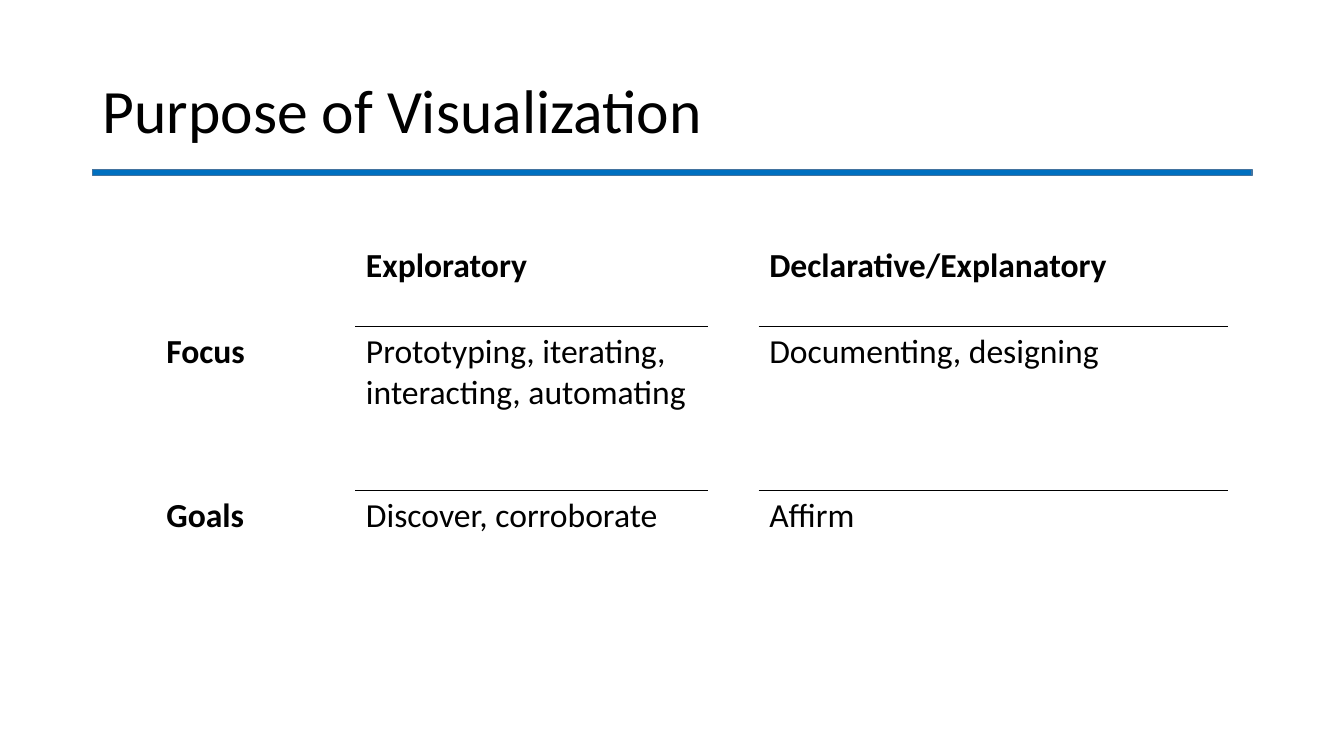
from lxml.etree import SubElement
from pptx import Presentation
from pptx.dml.color import RGBColor
from pptx.enum.shapes import MSO_SHAPE
from pptx.enum.text import MSO_ANCHOR, PP_ALIGN
from pptx.oxml.ns import qn
from pptx.util import Inches, Pt

COLORS = {"ink": "000000", "bar": "0070C0", "edge": "43739E"}
FONT = "Calibri"
WIDTHS = [1.98, 3.5, 0.5, 4.64]
HEIGHTS = [0.85, 1.63, 0.85]
ROWS = [
    ["", "Exploratory", "", "Declarative/Explanatory"],
    ["Focus", "Prototyping, iterating, interacting, automating", "",
     "Documenting, designing"],
    ["Goals", "Discover, corroborate", "", "Affirm"],
]


def color(name):
    return RGBColor.from_string(COLORS[name])


def write(frame, text, size=24, bold=False, space=1.0):
    para = frame.paragraphs[0]
    para.alignment = PP_ALIGN.LEFT
    para.line_spacing = space
    run = para.add_run()
    run.text = text
    run.font.name = FONT
    run.font.size = Pt(size)
    run.font.bold = bold
    run.font.color.rgb = color("ink")


def add_bar(slide):
    bar = slide.shapes.add_shape(
        MSO_SHAPE.RECTANGLE, Inches(0.92), Inches(1.68), Inches(11.5), Inches(0.06))
    bar.shadow.inherit = False
    bar.fill.solid()
    bar.fill.fore_color.rgb = color("bar")
    bar.line.color.rgb = color("edge")
    bar.line.width = Pt(1)


def add_title(slide, text):
    title = slide.shapes.title
    title.left, title.top = Inches(0.92), Inches(0.4)
    title.width, title.height = Inches(11.5), Inches(1.45)
    title.text_frame.vertical_anchor = MSO_ANCHOR.MIDDLE
    write(title.text_frame, text, size=44, space=0.9)


def add_rule(cell, side):
    props = cell._tc.get_or_add_tcPr()
    line = SubElement(props, qn(f"a:ln{side}"), w=str(Pt(1)))
    fill = SubElement(line, qn("a:solidFill"))
    SubElement(fill, qn("a:srgbClr"), val=COLORS["ink"])
    props.insert(0, line)


def add_grid(slide):
    frame = slide.shapes.add_table(
        len(ROWS), len(WIDTHS), Inches(1.55), Inches(2.39),
        Inches(sum(WIDTHS)), Inches(sum(HEIGHTS)))
    table = frame.table
    table.first_row = table.horz_banding = False
    for col, width in zip(table.columns, WIDTHS):
        col.width = Inches(width)
    for row, height in zip(table.rows, HEIGHTS):
        row.height = Inches(height)
    for i, texts in enumerate(ROWS):
        for j, text in enumerate(texts):
            cell = table.cell(i, j)
            cell.fill.background()
            if not text:
                continue
            write(cell.text_frame, text, bold=i == 0 or j == 0)
            if j > 0 and i < len(ROWS) - 1:
                add_rule(cell, "B")
            if j > 0 and i > 0:
                add_rule(cell, "T")


def main():
    deck = Presentation()
    deck.slide_width, deck.slide_height = Inches(13.33), Inches(7.5)
    slide = deck.slides.add_slide(deck.slide_layouts[5])
    add_bar(slide)
    add_title(slide, "Purpose of Visualization")
    add_grid(slide)
    deck.save("out.pptx")


if __name__ == "__main__":
    main()
